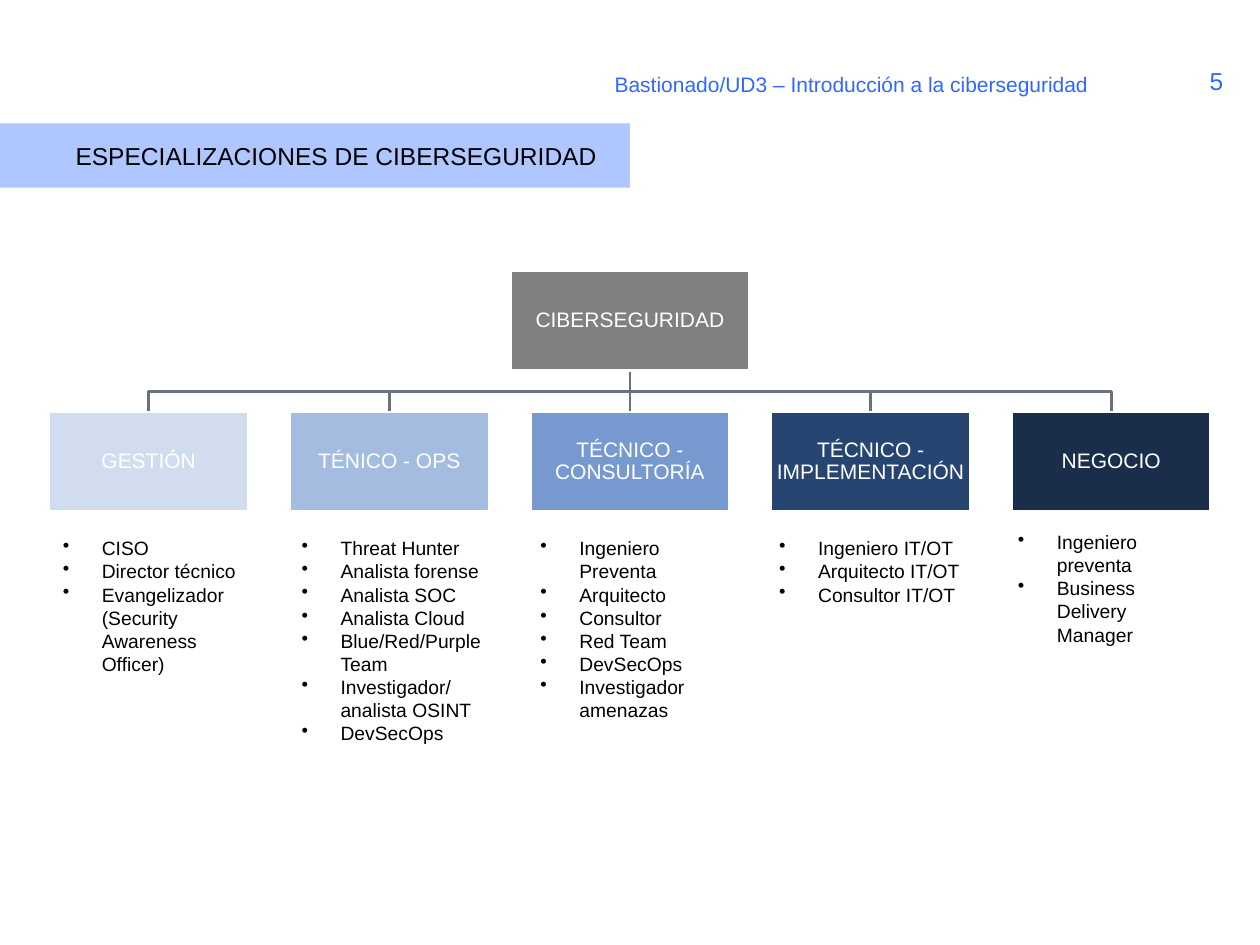
from dataclasses import dataclass

from lxml import etree
from pptx import Presentation
from pptx.dml.color import RGBColor
from pptx.enum.shapes import MSO_CONNECTOR, MSO_SHAPE
from pptx.enum.text import MSO_ANCHOR, PP_ALIGN
from pptx.oxml.ns import qn
from pptx.util import Inches, Pt

RECT = MSO_SHAPE.RECTANGLE
STRAIGHT = MSO_CONNECTOR.STRAIGHT
MIDDLE, TOP = MSO_ANCHOR.MIDDLE, MSO_ANCHOR.TOP
LEFT, CENTER = PP_ALIGN.LEFT, PP_ALIGN.CENTER


@dataclass(frozen=True)
class Theme:
    font: str = "Arial"
    title_size: int = 14
    label_size: int = 12
    list_size: int = 11
    text: str = "000000"
    white: str = "FFFFFF"
    accent: str = "2E68FF"
    banner: str = "AFC6FF"
    root: str = "808080"
    link: str = "69717C"
    line_width: float = 1.5


THEME = Theme()

# Heading, fill, specialities
BRANCHES = [
    ("GESTIÓN", "D1DDEF",
     ["CISO", "Director técnico", "Evangelizador (Security Awareness Officer)"]),
    ("TÉNICO - OPS", "A4BCE0",
     ["Threat Hunter", "Analista forense", "Analista SOC", "Analista Cloud",
      "Blue/Red/Purple Team", "Investigador/analista OSINT", "DevSecOps"]),
    ("TÉCNICO - CONSULTORÍA", "769AD0",
     ["Ingeniero Preventa", "Arquitecto", "Consultor", "Red Team", "DevSecOps",
      "Investigador amenazas"]),
    ("TÉCNICO - IMPLEMENTACIÓN", "274571",
     ["Ingeniero IT/OT", "Arquitecto IT/OT", "Consultor IT/OT"]),
    ("NEGOCIO", "1A2E4C",
     ["Ingeniero preventa", "Business Delivery Manager"]),
]


def rgb(value):
    return RGBColor.from_string(value)


def style(p, size, color, align=LEFT):
    p.alignment = align
    p.font.name = THEME.font
    p.font.size = Pt(size)
    p.font.color.rgb = rgb(color)


def add_text(slide, box, text, size, color, align=LEFT, anchor=TOP):
    tf = slide.shapes.add_textbox(*map(Inches, box)).text_frame
    tf.word_wrap = True
    tf.vertical_anchor = anchor
    tf.text = text
    style(tf.paragraphs[0], size, color, align)


def add_rect(slide, box, fill):
    sp = slide.shapes.add_shape(RECT, *map(Inches, box))
    sp.shadow.inherit = False
    sp.fill.solid()
    sp.fill.fore_color.rgb = rgb(fill)
    sp.line.fill.background()
    tf = sp.text_frame
    tf.word_wrap = True
    tf.vertical_anchor = MIDDLE
    return sp


def add_banner(slide, box, text):
    tf = add_rect(slide, box, THEME.banner).text_frame
    tf.margin_left = Inches(0.6)
    tf.text = text
    style(tf.paragraphs[0], THEME.title_size, THEME.text)


def add_node(slide, box, text, fill):
    sp = add_rect(slide, box, fill)
    sp.line.color.rgb = rgb(THEME.white)
    sp.line.width = Pt(THEME.line_width)
    tf = sp.text_frame
    tf.margin_left = tf.margin_right = tf.margin_top = tf.margin_bottom = Inches(0.01)
    tf.text = text
    p = tf.paragraphs[0]
    p.line_spacing = 0.9
    style(p, THEME.label_size, THEME.white, CENTER)


def add_link(slide, x1, y1, x2, y2):
    """Join a parent to a child, with a bend halfway when they are not aligned."""
    if abs(x1 - x2) < 0.01:
        sp = slide.shapes.add_connector(STRAIGHT, *map(Inches, (x1, y1, x2, y2)))
        etree.SubElement(sp.line._get_or_add_ln().getparent(), qn("a:effectLst"))
    else:
        mid = (y1 + y2) / 2
        builder = slide.shapes.build_freeform(Inches(x1), Inches(y1))
        bends = [(x1, mid), (x2, mid), (x2, y2)]
        builder.add_line_segments([tuple(map(Inches, pt)) for pt in bends], close=False)
        sp = builder.convert_to_shape()
        sp.shadow.inherit = False
        sp.fill.background()
    sp.line.color.rgb = rgb(THEME.link)
    sp.line.width = Pt(THEME.line_width)


def add_bullets(slide, box, items):
    tf = slide.shapes.add_textbox(*map(Inches, box)).text_frame
    tf.word_wrap = True
    tf.text = "\n".join(items)
    for p in tf.paragraphs:
        p_pr = p._p.get_or_add_pPr()
        p_pr.set("marL", str(Inches(0.31)))
        p_pr.set("indent", str(Inches(-0.31)))
        etree.SubElement(p_pr, qn("a:buChar"), char="•")
        style(p, THEME.list_size, THEME.text)


def add_header(slide, box):
    x, y, w, h = box
    add_text(slide, (x + 4.78, y + 0.08, 4.13, 0.33),
             "Bastionado/UD3 – Introducción a la ciberseguridad",
             THEME.label_size, THEME.accent)
    add_text(slide, (x + w - 0.67, y, 0.65, 0.4), "5",
             THEME.title_size, THEME.accent, CENTER, MIDDLE)
    add_banner(slide, (x, y + h - 0.51, w / 2, 0.51),
               "ESPECIALIZACIONES DE CIBERSEGURIDAD")


def add_org_chart(slide, box):
    x, y, w, _ = box
    node_w, node_h, root_w = 1.58, 0.79, 1.89
    step = (w - node_w) / (len(BRANCHES) - 1)
    center, row = x + w / 2, y + 1.12
    lefts = [x + i * step for i in range(len(BRANCHES))]

    for left in lefts:
        add_link(slide, center, y + node_h, left + node_w / 2, row)
    add_node(slide, (center - root_w / 2, y, root_w, node_h),
             "CIBERSEGURIDAD", THEME.root)
    for left, (name, fill, _) in zip(lefts, BRANCHES):
        add_node(slide, (left, row, node_w, node_h), name, fill)


def add_specialities(slide, box):
    x, y, w, h = box
    col_w = 1.64
    step = (w - col_w) / (len(BRANCHES) - 1)
    last = len(BRANCHES) - 1
    for i, (_, _, items) in enumerate(BRANCHES):
        top = y - 0.05 if i == last else y
        add_bullets(slide, (x + i * step, top, col_w, h), items)


def main():
    prs = Presentation()
    prs.slide_width, prs.slide_height = Inches(10), Inches(7.5)
    slide = prs.slides.add_slide(prs.slide_layouts[6])
    add_header(slide, (0, 0.44, 10, 1.05))
    add_org_chart(slide, (0.39, 2.15, 9.22, 1.91))
    add_specialities(slide, (0.4, 4.21, 9.22, 2.14))
    prs.save("out.pptx")


if __name__ == "__main__":
    main()
